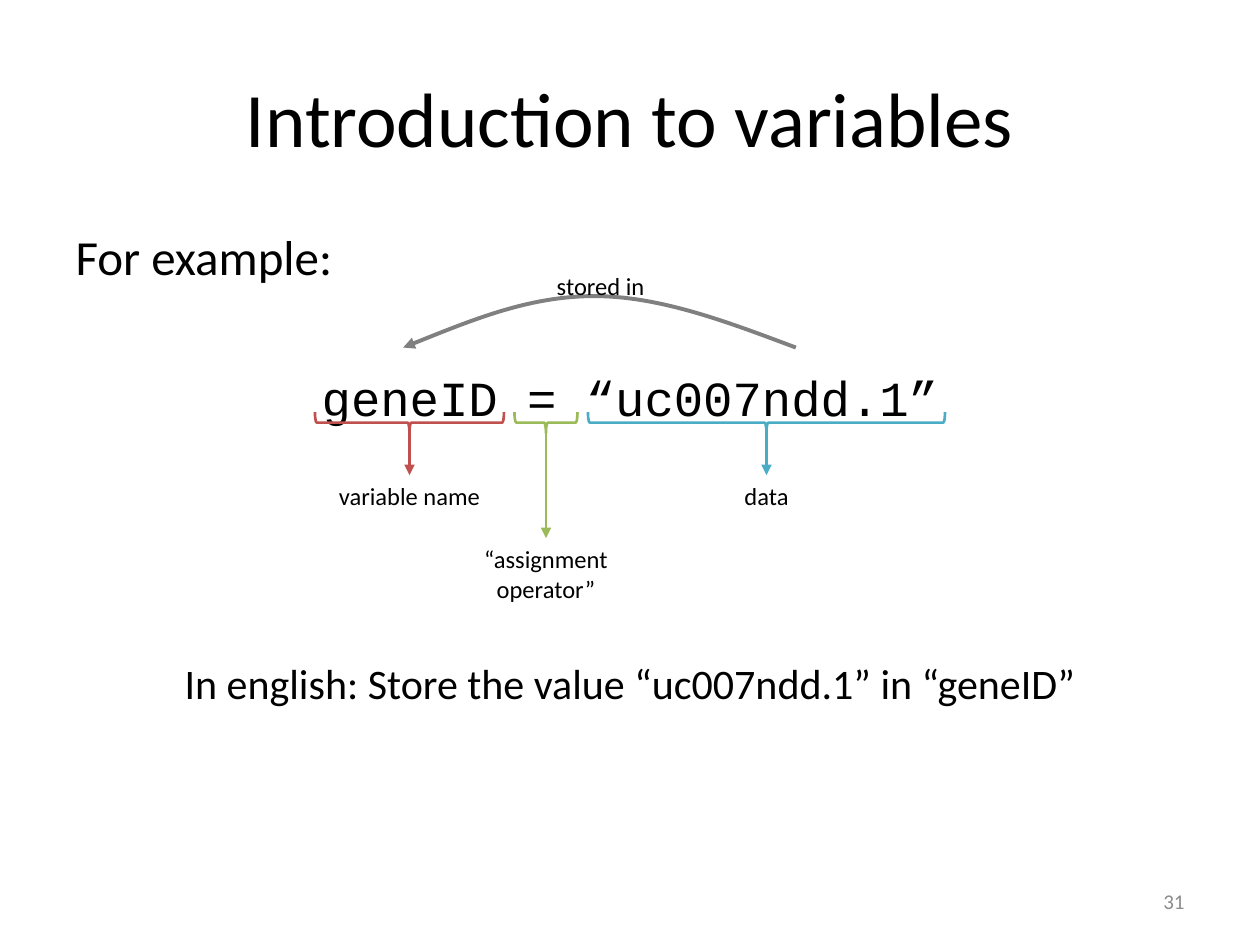
from lxml import etree
from pptx import Presentation
from pptx.dml.color import RGBColor
from pptx.enum.shapes import MSO_CONNECTOR, MSO_SHAPE
from pptx.enum.text import MSO_ANCHOR, MSO_AUTO_SIZE, PP_ALIGN
from pptx.oxml.ns import qn
from pptx.util import Inches, Pt

LEFT, CENTER, RIGHT = PP_ALIGN.LEFT, PP_ALIGN.CENTER, PP_ALIGN.RIGHT
MIDDLE = MSO_ANCHOR.MIDDLE
FIT_SHAPE = MSO_AUTO_SIZE.SHAPE_TO_FIT_TEXT
STRAIGHT = MSO_CONNECTOR.STRAIGHT
BRACE = MSO_SHAPE.LEFT_BRACE
COLUMNS_PER_INCH = 12
BLACK, GREY, PALE_GREY = "000000", "808080", "8C8C8C"
BRACE_MIDDLE, ARROW_TOP = 40.25, 41.25
PARTS = [
    ("variable name", 39, 18, 45.25, 16, "C0504D"),
    ("“assignment operator”", 52, 6, 51.25, 24, "9BBB59"),
    ("data", 73, 34, 45.25, 6.75, "4BACC6"),
]


def grid(*cells):
    return [Inches(cell / COLUMNS_PER_INCH) for cell in cells]


def color(value):
    return RGBColor.from_string(value)


def style_paragraph(paragraph, size, font="Calibri", fill=BLACK, align=LEFT):
    paragraph.alignment = align
    paragraph.font.size = Pt(size)
    paragraph.font.name = font
    paragraph.font.color.rgb = color(fill)


def style_line(shape, stroke, width, arrow=False):
    shape.line.color.rgb = color(stroke)
    shape.line.width = Pt(width)
    if arrow:
        line = shape.line._get_or_add_ln()
        etree.SubElement(line, qn("a:tailEnd"), type="triangle")


def place(shape, *cells):
    shape.left, shape.top, shape.width, shape.height = grid(*cells)


def add_title(slide, text):
    title = slide.shapes.title
    place(title, 6, 3.6, 108, 15)
    title.text_frame.text = text
    style_paragraph(title.text_frame.paragraphs[0], 44, align=CENTER)


def add_body(slide, heading, code):
    body = slide.placeholders[1]
    place(body, 6, 21, 108, 59.4)
    frame = body.text_frame
    frame.text = heading
    statement = frame.add_paragraph()
    statement.text = code
    style_paragraph(frame.paragraphs[0], 28)
    style_paragraph(statement, 28, "Courier New", align=CENTER)
    statement.space_before = Pt(47)
    for paragraph in frame.paragraphs:
        properties = paragraph._p.get_or_add_pPr()
        properties.set("marL", "0")
        properties.set("indent", "0")
        etree.SubElement(properties, qn("a:buNone"))
        defaults = properties.find(qn("a:defRPr"))
        properties.append(defaults)


def add_label(slide, text, center, top, width, height=4.1, size=14):
    box = slide.shapes.add_textbox(*grid(center - width / 2, top, width, height))
    frame = box.text_frame
    frame.word_wrap = False
    frame.auto_size = FIT_SHAPE
    frame.text = text
    style_paragraph(frame.paragraphs[0], size, align=CENTER)


def add_brace(slide, center, span, stroke):
    cells = grid(center - 1, BRACE_MIDDLE - span / 2, 2, span)
    brace = slide.shapes.add_shape(BRACE, *cells)
    brace.rotation = 270
    brace.shadow.inherit = False
    brace.fill.background()
    style_line(brace, stroke, 1.5)


def add_arrow(slide, column, bottom, stroke):
    cells = grid(column, ARROW_TOP, column, bottom)
    arrow = slide.shapes.add_connector(STRAIGHT, *cells)
    style_line(arrow, stroke, 1.5, arrow=True)
    etree.SubElement(arrow._element.spPr, qn("a:effectLst"))


def add_curved_arrow(slide, start, points, stroke):
    builder = slide.shapes.build_freeform(*grid(*start))
    builder.add_line_segments([grid(*point) for point in points], close=False)
    curve = builder.convert_to_shape()
    segments = list(curve._element.iter(qn("a:lnTo")))
    for first, second, third in zip(*[iter(segments)] * 3):
        bezier = etree.Element(qn("a:cubicBezTo"))
        first.addprevious(bezier)
        for segment in (first, second, third):
            bezier.append(segment[0])
            segment.getparent().remove(segment)
    curve.fill.background()
    curve.shadow.inherit = False
    style_line(curve, stroke, 2.25, arrow=True)


def add_slide_number(slide, number):
    box = slide.shapes.add_textbox(*grid(86, 83.4, 28, 4.8))
    frame = box.text_frame
    frame.word_wrap = True
    frame.vertical_anchor = MIDDLE
    frame.text = number
    style_paragraph(frame.paragraphs[0], 12, fill=PALE_GREY, align=RIGHT)


def main():
    presentation = Presentation()
    presentation.slide_width, presentation.slide_height = grid(120, 90)
    slide = presentation.slides.add_slide(presentation.slide_layouts[1])
    add_title(slide, "Introduction to variables")
    add_body(slide, "For example:", "geneID = “uc007ndd.1”")
    for text, center, span, label_top, label_width, stroke in PARTS:
        add_brace(slide, center, span, stroke)
        add_arrow(slide, center, label_top, stroke)
        add_label(slide, text, center, label_top, label_width)
    curve_points = [(69.4, 30.7), (62.9, 28.2), (56.6, 28.2),
                    (50.4, 28.2), (44.4, 30.7), (38.4, 33.1)]
    add_curved_arrow(slide, (75.8, 33.1), curve_points, GREY)
    add_label(slide, "In english: Store the value “uc007ndd.1” in “geneID”",
              60, 62, 88, 6, 24)
    add_label(slide, "stored in", 57.2, 25.2, 11)
    add_slide_number(slide, "31")
    presentation.save("out.pptx")


main()
